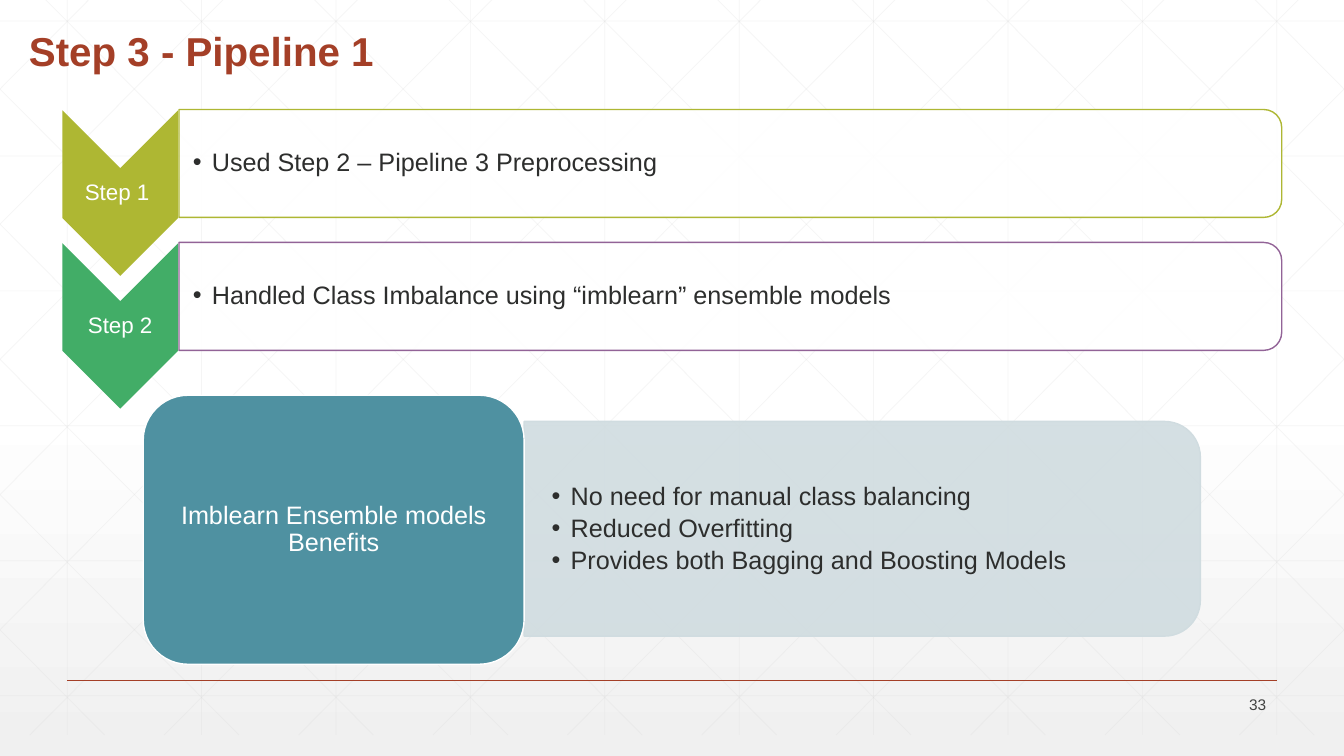
import pptx
import pptx.dml.color
import pptx.enum.shapes
import pptx.enum.text
import pptx.oxml
import pptx.oxml.ns
import pptx.util
from lxml import etree

Cm = pptx.util.Cm
Pt = pptx.util.Pt
Kind = pptx.enum.shapes.MSO_SHAPE
Align = pptx.enum.text.PP_ALIGN
Anchor = pptx.enum.text.MSO_ANCHOR
qn = pptx.oxml.ns.qn

WIDE, HIGH = 33.87, 19.05
RUST, WHITE, INK = "A43F27", "FFFFFF", "2D2E2D"


def tint(code):
    return pptx.dml.color.RGBColor.from_string(code)


class Deck:
    """Hold the style and the current slide, and draw each kind of element."""

    font = "Arial"

    def __init__(self):
        self.file = pptx.Presentation()
        self.file.slide_width = Cm(WIDE)
        self.file.slide_height = Cm(HIGH)
        self.slide = self.file.slides.add_slide(self.file.slide_layouts[4])
        self.shapes = self.slide.shapes

    def back(self, top, low):
        fill = self.slide.background.fill
        fill.gradient()
        fill.gradient_angle = 270
        for stop, code, place in zip(fill.gradient_stops, (top, low), (0.53, 1)):
            stop.color.rgb = tint(code)
            stop.position = place

    def fade(self, item, share):
        for node in item.element.spPr.iter(qn("a:srgbClr")):
            etree.SubElement(node, qn("a:alpha")).set("val", str(share * 1000))

    def line(self, x1, y1, x2, y2, code, size, share=100):
        kind = pptx.enum.shapes.MSO_CONNECTOR.STRAIGHT
        line = self.shapes.add_connector(kind, Cm(x1), Cm(y1), Cm(x2), Cm(y2))
        line.line.color.rgb = tint(code)
        line.line.width = Pt(size)
        if share < 100:
            self.fade(line, share)
        etree.SubElement(line.element.spPr, qn("a:effectLst"))

    def shape(self, kind, x, y, w, h, fill, edge=None, share=100, turn=False):
        if turn:
            x, y, w, h = x + (w - h) / 2, y + (h - w) / 2, h, w
        shape = self.shapes.add_shape(kind, Cm(x), Cm(y), Cm(w), Cm(h))
        shape.rotation = 90 if turn else 0
        shape.shadow.inherit = False
        shape.fill.solid()
        shape.fill.fore_color.rgb = tint(fill)
        if share < 100:
            self.fade(shape, share)
        if edge:
            shape.line.color.rgb = tint(edge)
            shape.line.width = Pt(1)
        else:
            shape.line.fill.background()
        return shape

    def label(self, item, rows, size, code, align=Align.LEFT, pads=(0.25, 0.13),
              anchor=Anchor.MIDDLE, bold=False, dots=False, right=None):
        frame = item.text_frame
        frame.text = "\n".join(rows)
        frame.word_wrap = True
        frame.auto_size = pptx.enum.text.MSO_AUTO_SIZE.NONE
        frame.vertical_anchor = anchor
        frame.margin_left = Cm(pads[0])
        frame.margin_right = Cm(pads[0] if right is None else right)
        frame.margin_top = frame.margin_bottom = Cm(pads[1])
        for para in frame.paragraphs:
            if dots:
                props = para._p.get_or_add_pPr()
                props.set("marL", str(Cm(0.48)))
                props.set("indent", str(Cm(-0.48)))
                etree.SubElement(props, qn("a:buChar")).set("char", "•")
            para.alignment = align
            para.line_spacing = 0.9
            para.space_before = Pt(0)
            para.space_after = Pt(3.5 if dots else 0)
            for run in para.runs:
                run.font.name = self.font
                run.font.size = Pt(size)
                run.font.bold = bold
                run.font.color.rgb = tint(code)

    def text(self, x, y, w, h, words, size, code, align, pads=(0.25, 0.13)):
        box = self.shapes.add_textbox(Cm(x), Cm(y), Cm(w), Cm(h))
        self.label(box, [words], size, code, align, pads)

    def hold(self, mark, x, y, w, h):
        item = next(p for p in self.slide.placeholders
                    if p.placeholder_format.idx == mark)
        item.left, item.top, item.width, item.height = Cm(x), Cm(y), Cm(w), Cm(h)
        self.shapes._spTree.append(item.element)
        return item

    def title(self, words):
        item = self.hold(0, 0.48, 0.48, 26.67, 1.55)
        self.label(item, [words], 28.8, RUST, anchor=Anchor.BOTTOM, bold=True)

    def list(self, mark, x, y, w, h, rows, pads, right):
        item = self.hold(mark, x, y, w, h)
        self.label(item, rows, 18, INK, pads=pads, dots=True, right=right)

    def save(self):
        for item in list(self.slide.placeholders):
            if not item.text_frame.text:
                item.element.getparent().remove(item.element)
        self.file.save("out.pptx")


def grid(deck):
    top, low, run, step = -0.53, 18.52, 18.94, WIDE / 10
    rise = (low - top) / run
    ends = [((i + 0.5) * step, top, (i + 0.5) * step, low) for i in range(10)]
    ends += [(0, 0.53 + 3.4 * i, WIDE, 0.53 + 3.4 * i) for i in range(6)]
    for i in range(-5, 10):
        start = 0.63 + i * step
        x1, x2 = max(start, 0), min(start + run, WIDE)
        y1, y2 = (top + (x - start) * rise for x in (x1, x2))
        ends += [(x1, y1, x2, y2), (WIDE - x1, y1, WIDE - x2, y2)]
    for end in ends:
        deck.line(*end, "D9D9D9", 0.5, 25)


def steps(deck):
    rows = [
        ("Step 1 ", "AEB733", "AEB733", "Used Step 2 – Pipeline 3 Preprocessing"),
        ("Step 2", "42AD67", "926397",
         "Handled Class Imbalance using “imblearn” ensemble models"),
    ]
    for i, (name, fill, edge, words) in enumerate(rows):
        y = 2.76 + i * 3.35
        deck.shape(Kind.CHEVRON, 1.57, y + 0.02, 2.92, 4.17, fill, turn=True)
        deck.text(1.57, y + 1.48, 2.92, 1.24, name, 16, WHITE,
                  Align.CENTER, (0.13, 0.08))
        deck.shape(Kind.ROUND_2_SAME_RECTANGLE, 4.51, y, 27.79, 2.72,
                   WHITE, edge, 90, True)
        deck.list(i + 1, 4.5, y + 0.14, 27.66, 2.44, [words], (0.36, 0.03), 0.03)


def gains(deck):
    deck.shape(Kind.ROUND_2_SAME_RECTANGLE, 13.21, 10.62, 17.04, 5.41,
               "D0DCE0", "D0DCE0", 90, True)
    rows = ["No need for manual class balancing", "Reduced Overfitting",
            "Provides both Bagging and Boosting Models"]
    deck.list(4, 13.21, 10.9, 16.79, 4.88, rows, (0.69, 0.36), 0.69)
    card = deck.shape(Kind.ROUNDED_RECTANGLE, 3.61, 9.96, 9.6, 6.78,
                      "4F91A1", WHITE)
    deck.label(card, ["Imblearn Ensemble models Benefits"], 18, WHITE,
               Align.CENTER, (0.18, 0.1))


def main():
    deck = Deck()
    deck.back(WHITE, "F0F0F0")
    grid(deck)
    deck.line(1.69, 17.15, 32.18, 17.15, RUST, 1)
    deck.title("Step 3 - Pipeline 1")
    steps(deck)
    deck.text(29.62, 17.48, 2.54, 0.61, "33", 11, "424342", Align.RIGHT)
    gains(deck)
    deck.save()


if __name__ == "__main__":
    main()
